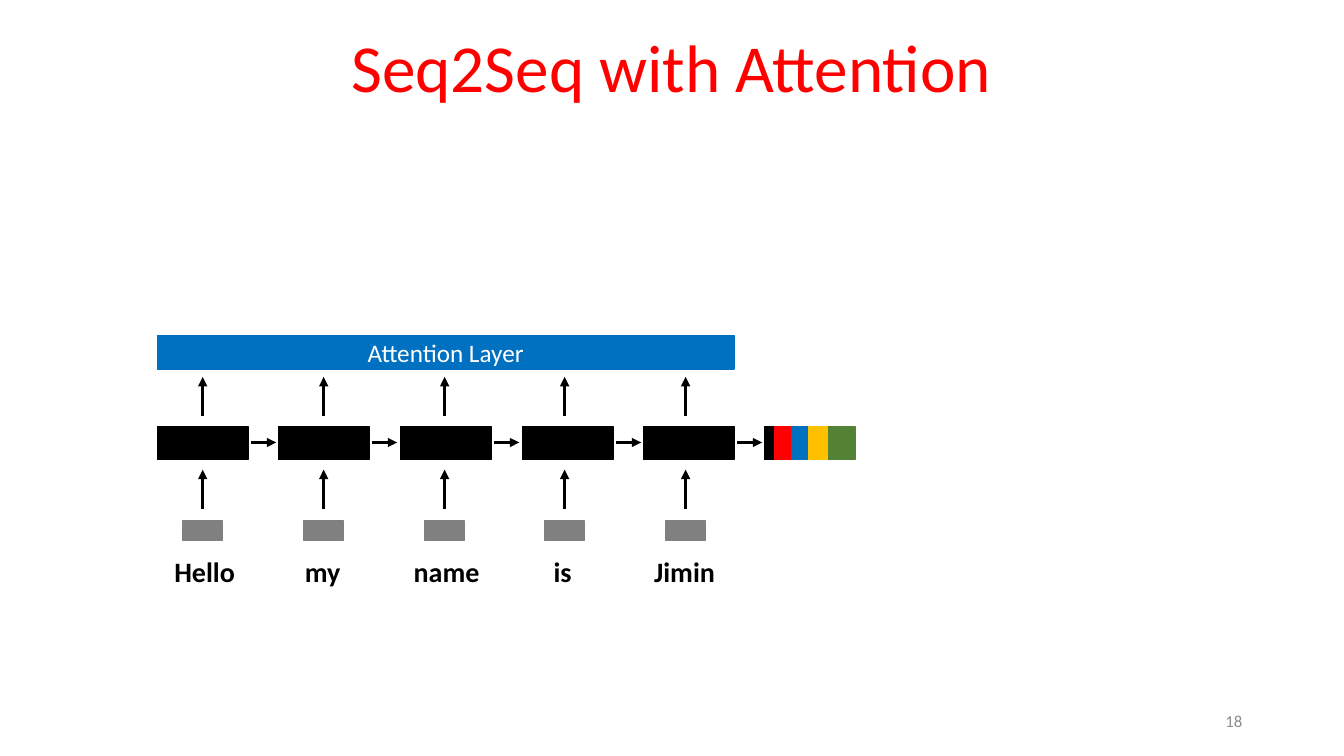
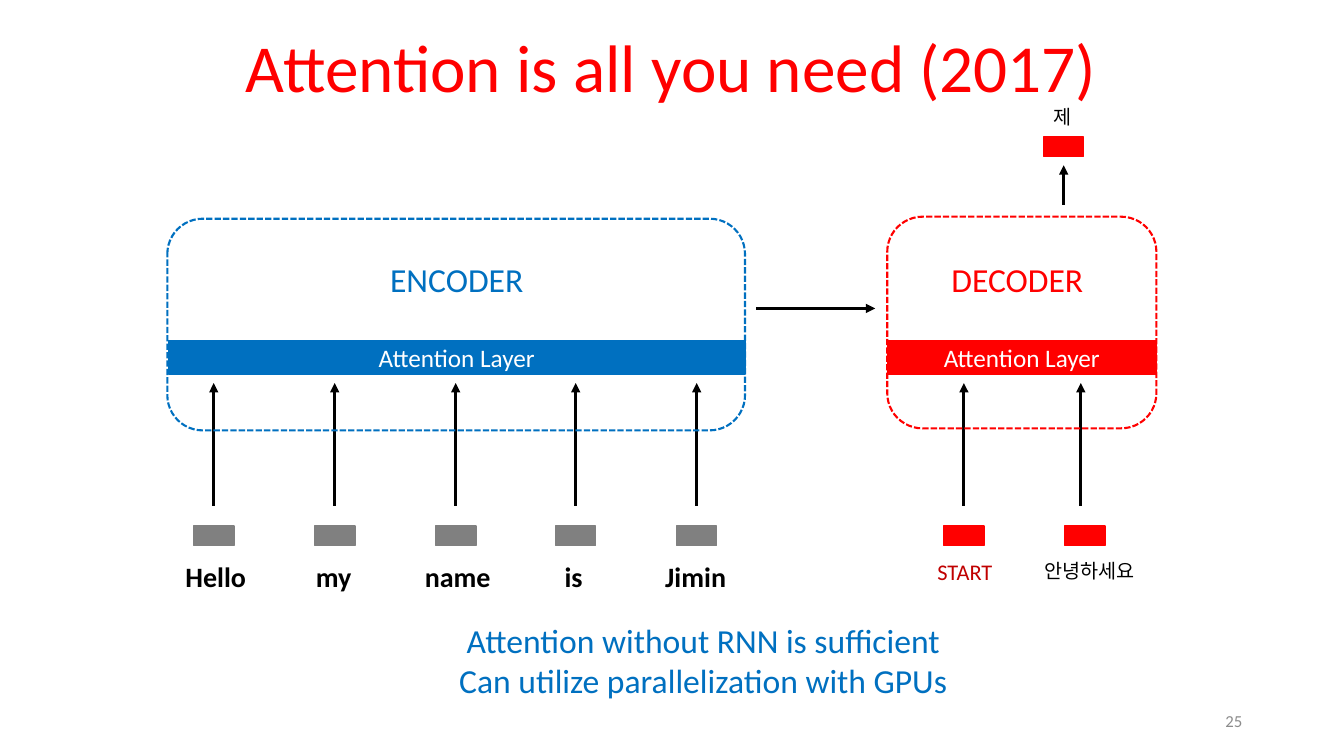
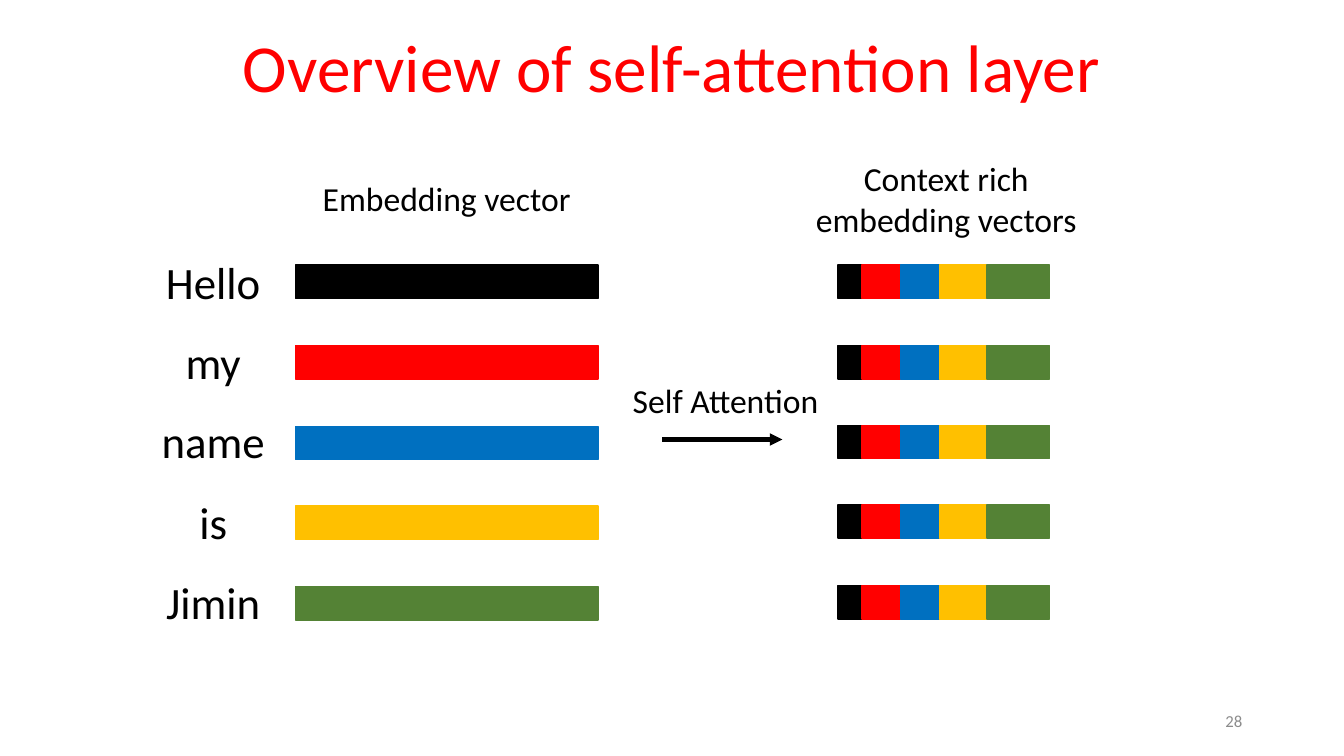
"""Build three slides that lead from attention in Seq2Seq to the self-attention layer."""
from lxml.etree import SubElement
from pptx import Presentation
from pptx.dml.color import RGBColor
from pptx.enum.dml import MSO_LINE
from pptx.enum.shapes import MSO_CONNECTOR, MSO_SHAPE
from pptx.enum.text import MSO_ANCHOR, MSO_AUTO_SIZE, PP_ALIGN
from pptx.oxml.ns import qn
from pptx.util import Pt

PX = 9144
FONT = "Calibri"
BLACK = RGBColor(0x00, 0x00, 0x00)
WHITE = RGBColor(0xFF, 0xFF, 0xFF)
RED = RGBColor(0xFF, 0x00, 0x00)
DARK_RED = RGBColor(0xC0, 0x00, 0x00)
BLUE = RGBColor(0x00, 0x70, 0xC0)
GOLD = RGBColor(0xFF, 0xC0, 0x00)
GREEN = RGBColor(0x54, 0x82, 0x35)
GRAY = RGBColor(0x80, 0x80, 0x80)
NUMBER_GRAY = RGBColor(0x8C, 0x8C, 0x8C)

WORDS = ["Hello", "my", "name", "is", "Jimin"]
WORD_COLORS = [BLACK, RED, BLUE, GOLD, GREEN]
LABEL_CENTERS = [203, 320, 443, 558, 679]
TOKEN_CENTERS = [201, 321, 441, 560, 680]


def add_box(shapes, left, top, width, height, fill=None, text="", size=18,
            color=WHITE, bold=False, align=PP_ALIGN.CENTER):
    area = [length * PX for length in (left, top, width, height)]
    if fill is None:
        box = shapes.add_textbox(*area)
    else:
        box = shapes.add_shape(MSO_SHAPE.RECTANGLE, *area)
        box.shadow.inherit = False
        box.fill.solid()
        box.fill.fore_color.rgb = fill
        box.line.color.rgb = fill
        box.line.width = Pt(1)
    if text:
        box.text_frame.word_wrap = True
        box.text_frame.text = text
        for para in box.text_frame.paragraphs:
            para.alignment = align
            para.font.name = FONT
            para.font.size = Pt(size)
            para.font.bold = bold
            para.font.color.rgb = color
    return box


def add_arrow(slide, start_x, start_y, end_x, end_y, weight=2.25):
    ends = [length * PX for length in (start_x, start_y, end_x, end_y)]
    arrow = slide.shapes.add_connector(MSO_CONNECTOR.STRAIGHT, *ends)
    arrow.line.color.rgb = BLACK
    arrow.line.width = Pt(weight)
    SubElement(arrow.line._get_or_add_ln(), qn("a:tailEnd"), type="triangle")
    SubElement(arrow._element.spPr, qn("a:effectLst"))


deck = Presentation()
deck.slide_width = 1333 * PX
deck.slide_height = 750 * PX

pages = []
for heading, number in [
    ("Seq2Seq with Attention", "18"),
    ("Attention is all you need (2017)", "25"),
    ("Overview of self-attention layer", "28"),
]:
    page = deck.slides.add_slide(deck.slide_layouts[5])
    title = page.shapes.title
    title.left, title.top, title.width, title.height = 91 * PX, 2 * PX, 1150 * PX, 109 * PX
    title.text_frame.text = heading
    title.text_frame.auto_size = MSO_AUTO_SIZE.NONE
    title.text_frame.vertical_anchor = MSO_ANCHOR.BOTTOM
    para = title.text_frame.paragraphs[0]
    para.alignment = PP_ALIGN.CENTER
    para.line_spacing = 0.9
    span = para.runs[0]
    span.font.name = FONT
    span.font.size = Pt(48)
    span.font.color.rgb = RED
    footer = add_box(page.shapes, 942, 695, 300, 40, text=number, size=12,
                     color=NUMBER_GRAY, align=PP_ALIGN.RIGHT)
    footer.text_frame.vertical_anchor = MSO_ANCHOR.MIDDLE
    pages.append(page)
recurrent, transformer, overview = pages

for page, shift_x, shift_y in [(recurrent, 0, 0), (transformer, 11, 5)]:
    add_box(page.shapes, 156 + shift_x, 333 + shift_y, 572, 33, BLUE, "Attention Layer")
    for word, label_center, token_center in zip(WORDS, LABEL_CENTERS, TOKEN_CENTERS):
        add_box(page.shapes, token_center - 20 + shift_x, 517 + shift_y, 40, 19, GRAY)
        add_box(page.shapes, label_center - 55 + shift_x, 545 + shift_y, 110, 44,
                text=word, size=20, color=BLACK, bold=True)

for index, center in enumerate(TOKEN_CENTERS):
    state_left = 156 + round(120.5 * index)
    add_box(recurrent.shapes, state_left, 423, 90, 33, BLACK)
    add_arrow(recurrent, state_left + 93, 439, state_left + 118, 439)
    add_arrow(recurrent, center, 505, center, 466)
    add_arrow(recurrent, center, 413, center, 374)

for center in TOKEN_CENTERS:
    add_arrow(transformer, center + 11, 502, center + 11, 380)
for center in (956, 1072):
    add_arrow(transformer, center, 502, center, 380)
add_arrow(transformer, 750, 306, 868, 306)
add_arrow(transformer, 1055, 203, 1055, 164)
for left, top in [(936, 522), (1056, 522), (1035, 136)]:
    add_box(transformer.shapes, left, top, 40, 19, RED)
add_box(transformer.shapes, 880, 338, 267, 33, RED, "Attention Layer")
for left, top, width, color in [(166, 217, 573, BLUE), (880, 215, 267, RED)]:
    frame = transformer.shapes.add_shape(
        MSO_SHAPE.ROUNDED_RECTANGLE, left * PX, top * PX, width * PX, 210 * PX)
    frame.shadow.inherit = False
    frame.fill.background()
    frame.line.color.rgb = color
    frame.line.width = Pt(1.5)
    frame.line.dash_style = MSO_LINE.SQUARE_DOT
for left, top, width, height, text, size, color in [
    (226, 252, 454, 50, "ENCODER", 24, BLUE),
    (782, 252, 454, 50, "DECODER", 24, RED),
    (912, 549, 90, 37, "START", 16, DARK_RED),
    (991, 550, 180, 34, "안녕하세요", 14, BLACK),
    (964, 99, 180, 34, "제", 14, BLACK),
    (437, 610, 521, 91,
     "Attention without RNN is sufficient\nCan utilize parallelization with GPUs", 24, BLUE),
]:
    add_box(transformer.shapes, left, top, width, height, text=text, size=size, color=color)

for index, (word, color) in enumerate(zip(WORDS, WORD_COLORS)):
    add_box(overview.shapes, 130, 248 + round(79.25 * index), 163, 64,
            text=word, size=32, color=BLACK)
    add_box(overview.shapes, 293, 263 + round(79.75 * index), 300, 33, color)
for left, top, width, height, text in [
    (266, 172, 354, 50, "Embedding vector"),
    (790, 152, 297, 91, "Context rich embedding vectors"),
    (609, 372, 221, 50, "Self Attention"),
]:
    add_box(overview.shapes, left, top, width, height, text=text, size=24, color=BLACK)
add_arrow(overview, 657, 436, 776, 436, 3)

mixed_vectors = [(recurrent, 758, 423, [9, 16, 16, 19, 26], 1)]
for index in range(len(WORDS)):
    mixed_vectors.append((overview, 831, 263 + round(79.5 * index), [24, 38, 39, 47, 62], 0))
for page, left, top, widths, gap in mixed_vectors:
    vector = page.shapes.add_group_shape()
    for width, color in zip(widths, WORD_COLORS):
        add_box(vector.shapes, left, top, width, 33, color)
        left += width + gap

deck.save("out.pptx")
